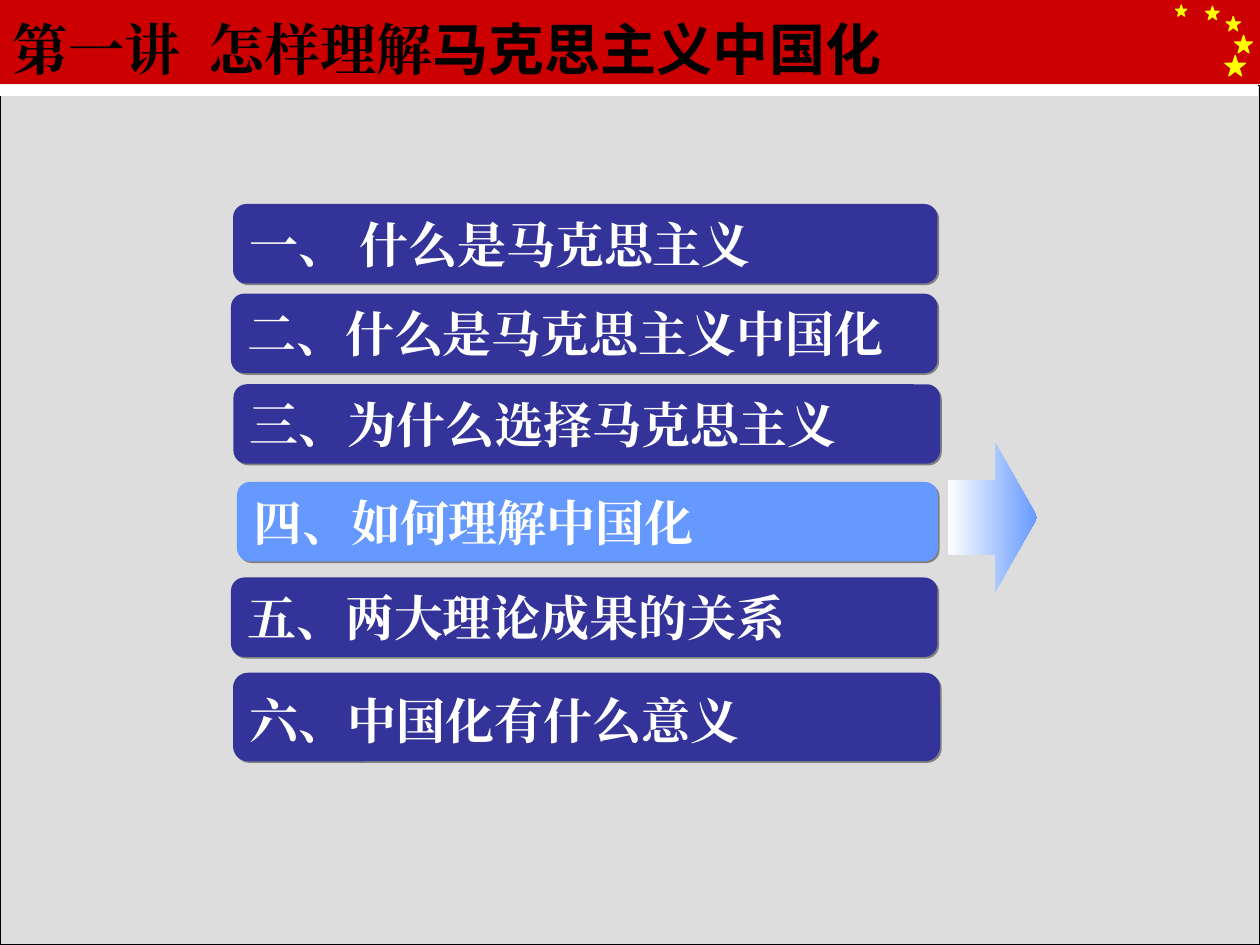
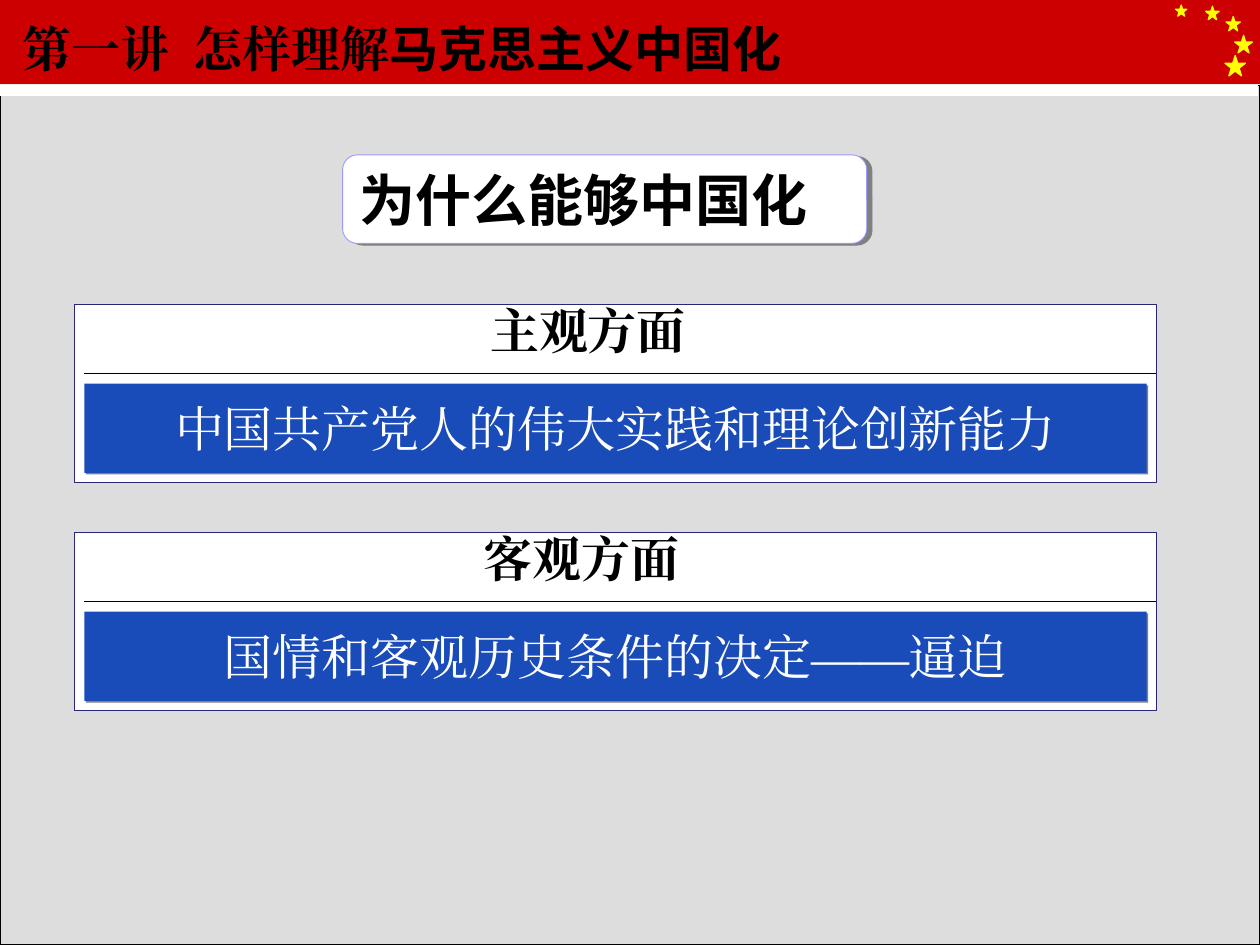
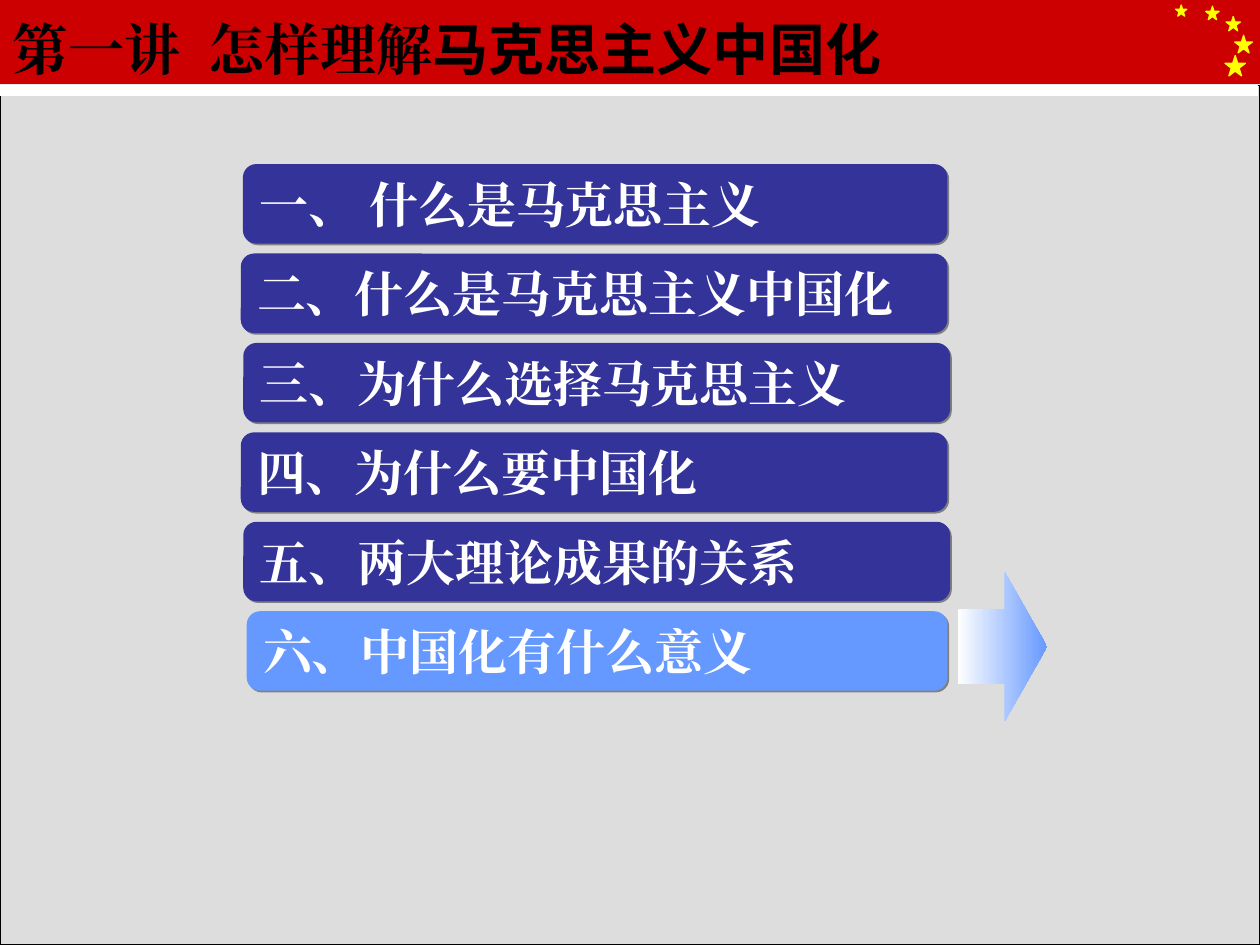
from lxml import etree
from pptx import Presentation
from pptx.dml.color import RGBColor
from pptx.enum.shapes import MSO_CONNECTOR as Connector, MSO_SHAPE as Shape
from pptx.enum.text import MSO_ANCHOR as Anchor, PP_ALIGN as Align
from pptx.oxml.ns import qn
from pptx.util import Pt

COLORS = {
    "backdrop": "EAEAEA", "body": "DDDDDD", "band": "CC0000", "star": "FFFF00",
    "white": "FFFFFF", "black": "000000", "shadow": "808080",
    "bar": "333399", "active": "6699FF", "statement": "194BB9",
    "panel_line": "28257B", "heading_line": "9999FF",
}
SERIF = "Times New Roman"
SANS = "Noto Sans CJK SC"
STARS = [(700, 31.7, 11.7), (689, 3.6, 7.7), (671.8, 2.9, 6.4),
         (700.6, 9.4, 8.2), (705.6, 20.2, 10.1)]
BAR_HEIGHT = 45.4
SOFT_CORNER = 0.167
NEAR_SHADOW = (1.4, 45)
FAR_SHADOW = (3.2, 18)


def rgb(name):
    return RGBColor.from_string(COLORS[name])


def add_effects(shape, shadow=None):
    effects = etree.SubElement(shape._element.spPr, qn("a:effectLst"))
    if shadow:
        distance, angle = shadow
        outer = etree.SubElement(effects, qn("a:outerShdw"), blurRad="0",
                                 dist=str(Pt(distance)), dir=str(angle * 60000),
                                 algn="ctr", rotWithShape="0")
        etree.SubElement(outer, qn("a:srgbClr"), val=COLORS["shadow"])


def add_block(page, kind, left, top, width, height, fill,
              line=None, weight=0.75, adjust=(), shadow=None):
    block = page.shapes.add_shape(kind, Pt(left), Pt(top), Pt(width), Pt(height))
    for index, value in enumerate(adjust):
        block.adjustments[index] = value
    block.fill.solid()
    block.fill.fore_color.rgb = rgb(fill)
    if line:
        block.line.color.rgb = rgb(line)
        block.line.width = Pt(weight)
    else:
        block.line.fill.background()
    add_effects(block, shadow)
    return block


def write(box, *spans, size=28, color="black", bold=True, align=Align.LEFT,
          anchor=Anchor.MIDDLE, wrap=True):
    frame = box.text_frame
    frame.word_wrap = wrap
    frame.vertical_anchor = anchor
    para = frame.paragraphs[0]
    para.alignment = align
    for text, typeface in spans:
        span = para.add_run()
        span.text = text
        span.font.size = Pt(size)
        span.font.bold = bold
        span.font.color.rgb = rgb(color)
        span.font.name = typeface
        etree.SubElement(span.font._element, qn("a:ea"), typeface=typeface)


def add_text(page, left, top, width, height, *spans, **style):
    box = page.shapes.add_textbox(Pt(left), Pt(top), Pt(width), Pt(height))
    write(box, *spans, **style)


def add_page(deck, title_left=0, title_size=32):
    page = deck.slides.add_slide(deck.slide_layouts[6])
    add_block(page, Shape.RECTANGLE, 0, 0, 720, 48, "band")
    for left, top, size in STARS:
        add_block(page, Shape.STAR_5_POINT, left, top, size, size, "star", line="star")
    add_block(page, Shape.RECTANGLE, 0, 49, 720, 491, "body", line="black")
    add_block(page, Shape.RECTANGLE, 0, 49, 718.6, 5.6, "white", line="white")
    add_text(page, title_left, 0, 541, 54.7, ("第一讲  怎样理解", SERIF),
             ("马克思主义中国化", SANS), size=title_size)
    return page


def add_arrow(page, left, top):
    arrow = add_block(page, Shape.RIGHT_ARROW, left, top, 51.1, 85, "active",
                      adjust=(0.5, 0.471))
    arrow.fill.gradient()
    arrow.fill.gradient_angle = 0
    for stop, name in zip(arrow.fill.gradient_stops, ("white", "active")):
        stop.color.rgb = rgb(name)


def add_agenda(page, rows, active):
    bars = []
    for index, (text, left, top, right, height) in enumerate(rows):
        fill = "active" if index == active else "bar"
        bar = add_block(page, Shape.ROUNDED_RECTANGLE, left, top, right - left, height,
                        fill, adjust=(SOFT_CORNER,), shadow=NEAR_SHADOW)
        write(bar, (text, SERIF), color="white")
        if index == active:
            add_arrow(page, right + 5.8, top - 22.3)
        bars.append(bar)
    return bars


def add_panel(page, top, label, label_left, statement):
    add_block(page, Shape.ROUNDED_RECTANGLE, 42.5, top, 618, 102, "white",
              line="panel_line", weight=0.25, adjust=(0,))
    rule = page.shapes.add_connector(Connector.STRAIGHT, Pt(48.2), Pt(top + 39.6),
                                     Pt(660.5), Pt(top + 39.6))
    rule.line.color.rgb = rgb("black")
    rule.line.width = Pt(0.75)
    add_effects(rule)
    add_text(page, label_left, top - 5.8, 160, 41, (label, SERIF), anchor=Anchor.TOP)
    strip = add_block(page, Shape.RECTANGLE, 48.2, top + 45.4, 607, 51, "statement",
                      shadow=NEAR_SHADOW)
    write(strip, (statement, SERIF), color="white", bold=False,
          align=Align.CENTER, wrap=False)


def build_method_agenda(deck):
    bars = add_agenda(add_page(deck), [
        ("一、 什么是马克思主义", 133.2, 116.6, 535.7, BAR_HEIGHT),
        ("二、什么是马克思主义中国化", 132, 167.8, 535.7, BAR_HEIGHT),
        ("三、为什么选择马克思主义", 133.4, 219.6, 537.2, BAR_HEIGHT),
        ("四、如何理解中国化", 135.4, 275.4, 535.9, BAR_HEIGHT),
        ("五、两大理论成果的关系", 132, 330, 535.7, BAR_HEIGHT),
        ("六、中国化有什么意义", 133.2, 384.4, 537.2, 50.6),
    ], active=3)
    bars[-1].text_frame.margin_top = Pt(7)


def build_reasons(deck):
    page = add_page(deck, title_left=5.8, title_size=28)
    heading = add_block(page, Shape.ROUNDED_RECTANGLE, 195.8, 88.5, 299.5, 50.6, "white",
                        line="heading_line", weight=0.5, adjust=(SOFT_CORNER,),
                        shadow=FAR_SHADOW)
    write(heading, ("为什么能够中国化", SANS), size=32)
    panels = [("主观方面", 273, "中国共产党人的伟大实践和理论创新能力"),
              ("客观方面", 269.3, "国情和客观历史条件的决定——逼迫")]
    for index, panel in enumerate(panels):
        add_panel(page, 173.8 + 130.3 * index, *panel)


def build_meaning_agenda(deck):
    rows = [
        ("一、 什么是马克思主义", 138.8, 541.4),
        ("二、什么是马克思主义中国化", 137.6, 541.4),
        ("三、为什么选择马克思主义", 139, 542.9),
        ("四、为什么要中国化", 137.6, 541.4),
        ("五、两大理论成果的关系", 139, 542.9),
        ("六、中国化有什么意义", 141, 541.4),
    ]
    add_agenda(add_page(deck), [
        (text, left, 93.8 + 51.1 * index, right, BAR_HEIGHT)
        for index, (text, left, right) in enumerate(rows)
    ], active=5)


def main():
    deck = Presentation()
    deck.slide_width, deck.slide_height = Pt(720), Pt(540)
    backdrop = deck.slide_master.background.fill
    backdrop.solid()
    backdrop.fore_color.rgb = rgb("backdrop")
    build_method_agenda(deck)
    build_reasons(deck)
    build_meaning_agenda(deck)
    deck.save("out.pptx")


if __name__ == "__main__":
    main()
